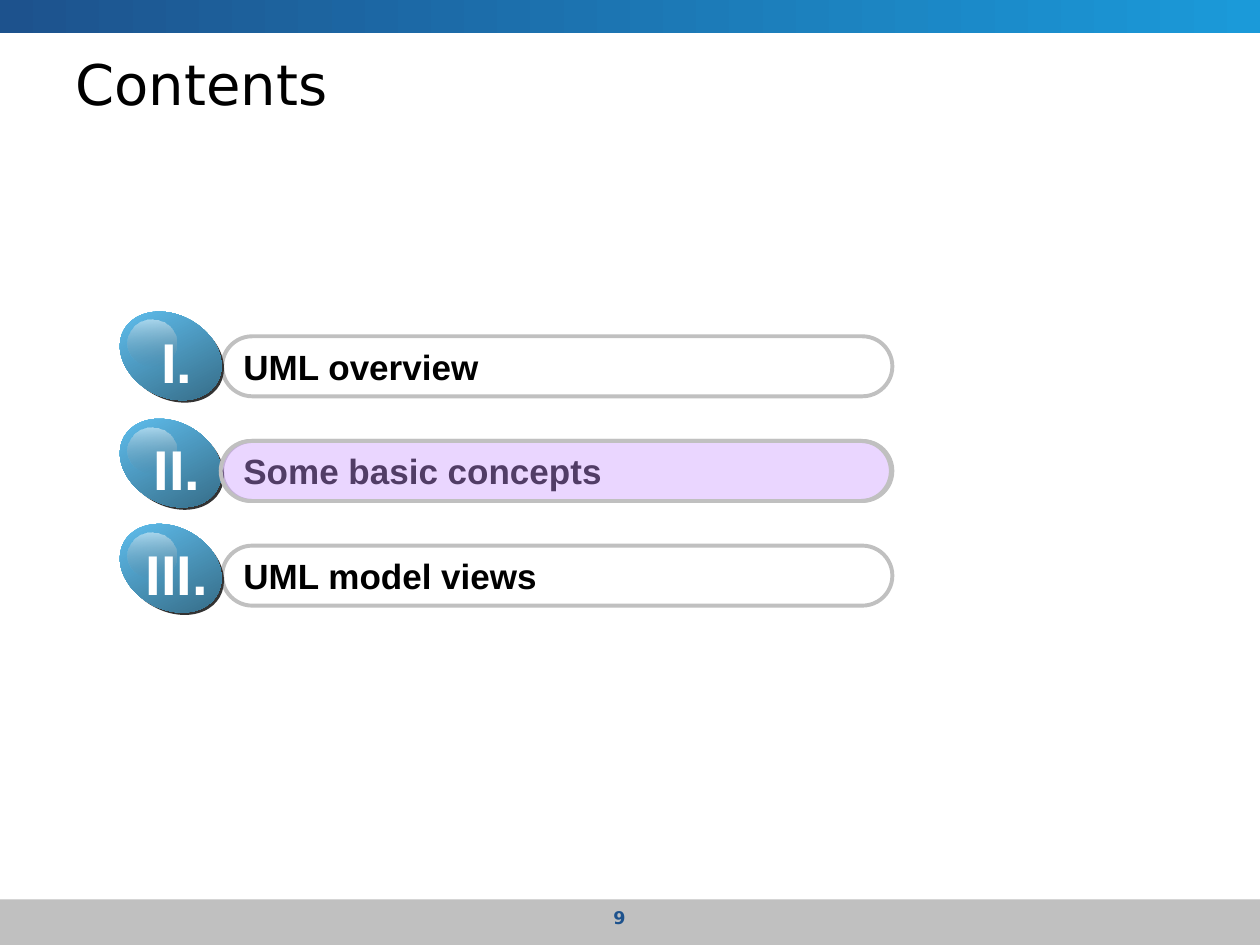
from lxml import etree
from pptx import Presentation
from pptx import util as u
from pptx.dml.color import RGBColor
from pptx.enum import shapes, text
from pptx.oxml.ns import qn

COLORS = {
    "navy": "1D528D", "sky": "1B9AD9", "gray": "C0C0C0", "black": "000000",
    "white": "FFFFFF", "shadow": "333333", "badge_light": "66CCFF",
    "badge_dark": "2F5E76", "gloss_end": "767676", "highlight": "CC99FF",
}
TOPICS = [
    ("I.", "UML overview", 6.35, 6.78),
    ("II.", "Some basic concepts", 8.51, 8.89),
    ("III.", "UML model views", 10.63, 11.0),
]
ACTIVE = 1
SHAPE = shapes.MSO_SHAPE


def rgb(name):
    """Return the named colour."""
    return RGBColor.from_string(COLORS[name])


def set_alpha(color_parent, percent):
    """Set the opacity of the colour held by an XML element."""
    color = color_parent.find(qn("a:srgbClr"))
    etree.SubElement(color, qn("a:alpha")).set("val", str(percent * 1000))


def paint(shape, colors, angle=0, alphas=()):
    """Fill a shape with one colour or a two-colour gradient."""
    if len(colors) == 1:
        shape.fill.solid()
        shape.fill.fore_color.rgb = rgb(colors[0])
        holders = [shape._element.spPr.find(qn("a:solidFill"))]
    else:
        shape.fill.gradient()
        shape.fill.gradient_angle = -angle % 360
        for stop, color in zip(shape.fill.gradient_stops, colors):
            stop.color.rgb = rgb(color)
        holders = list(shape._element.spPr.iter(qn("a:gs")))
    for holder, alpha in zip(holders, alphas):
        set_alpha(holder, alpha)


def add_block(parent, kind, box, colors=(), **gradient):
    """Add an unlined shape without shadow."""
    shape = parent.add_shape(kind, *(u.Cm(v) for v in box))
    shape.shadow.inherit = False
    shape.line.fill.background()
    if colors:
        paint(shape, colors, **gradient)
    else:
        shape.fill.background()
    return shape


def write(shape, words, size, color, font="Arial", bold=True, wrap=True,
          align=text.PP_ALIGN.LEFT, anchor=text.MSO_ANCHOR.MIDDLE):
    """Write one run of text into a shape."""
    frame = shape.text_frame
    frame.word_wrap = wrap
    frame.vertical_anchor = anchor
    paragraph = frame.paragraphs[0]
    paragraph.alignment = align
    run = paragraph.add_run()
    run.text = words
    run.font.name, run.font.size, run.font.bold = font, u.Pt(size), bold
    run.font.color.rgb = rgb(color)


def add_label(parent, box, words, size, color, **style):
    """Add a text box with one run."""
    label = parent.add_textbox(*(u.Cm(v) for v in box))
    write(label, words, size, color, **style)


def add_bar(parent, left, top, colors=(), **gradient):
    """Add a pill-shaped topic bar."""
    bar = add_block(parent, SHAPE.ROUNDED_RECTANGLE,
                    (left, top, 13.51, 1.21), colors, **gradient)
    bar.adjustments[0] = 0.5
    bar.line.color.rgb = rgb("gray")
    bar.line.width = u.Pt(2.25)
    return bar


def add_badge(parent, top, numeral):
    """Add a glossy numbered badge as a group."""
    badge = parent.add_group_shape().shapes
    for offset, colors in ((0.05, ["shadow"]),
                           (0, ["badge_light", "badge_dark"])):
        disc = add_block(badge, SHAPE.OVAL,
                         (2.36 + offset, top + offset, 2.16, 1.65),
                         colors, angle=32)
        disc.rotation = 29.3
    add_block(badge, SHAPE.OVAL, (2.58, top + 0.1, 0.97, 0.94),
              ["white", "gloss_end"], angle=90, alphas=(50, 0))
    add_label(badge, (2.32, top + 0.13, 2.5, 1.63), numeral, 32, "white",
              wrap=False, align=text.PP_ALIGN.CENTER,
              anchor=text.MSO_ANCHOR.TOP)


def main():
    """Build the contents slide."""
    deck = Presentation()
    deck.slide_width, deck.slide_height = u.Cm(25.4), u.Cm(19.05)
    parts = deck.slides.add_slide(deck.slide_layouts[6]).shapes

    add_block(parts, SHAPE.RECTANGLE, (0, 18.13, 25.4, 0.92), ["gray"])
    add_block(parts, SHAPE.RECTANGLE, (0, 0, 25.4, 0.66), ["navy", "sky"])
    add_label(parts, (9.53, 18.16, 5.92, 0.71), "9", 10, "navy",
              font="DejaVu Sans", align=text.PP_ALIGN.CENTER,
              anchor=text.MSO_ANCHOR.TOP)
    add_label(parts, (1.27, 0.89, 22.86, 1.57), "Contents", 32, "black",
              font="DejaVu Sans", bold=False)

    for _, topic, _, bar_top in TOPICS:
        write(add_bar(parts, 4.48, bar_top), topic, 20, "black")
    for numeral, _, badge_top, _ in TOPICS:
        add_badge(parts, badge_top, numeral)
    add_bar(parts, 4.45, TOPICS[ACTIVE][3], ["highlight"], alphas=(40,))

    deck.save("out.pptx")


if __name__ == "__main__":
    main()
